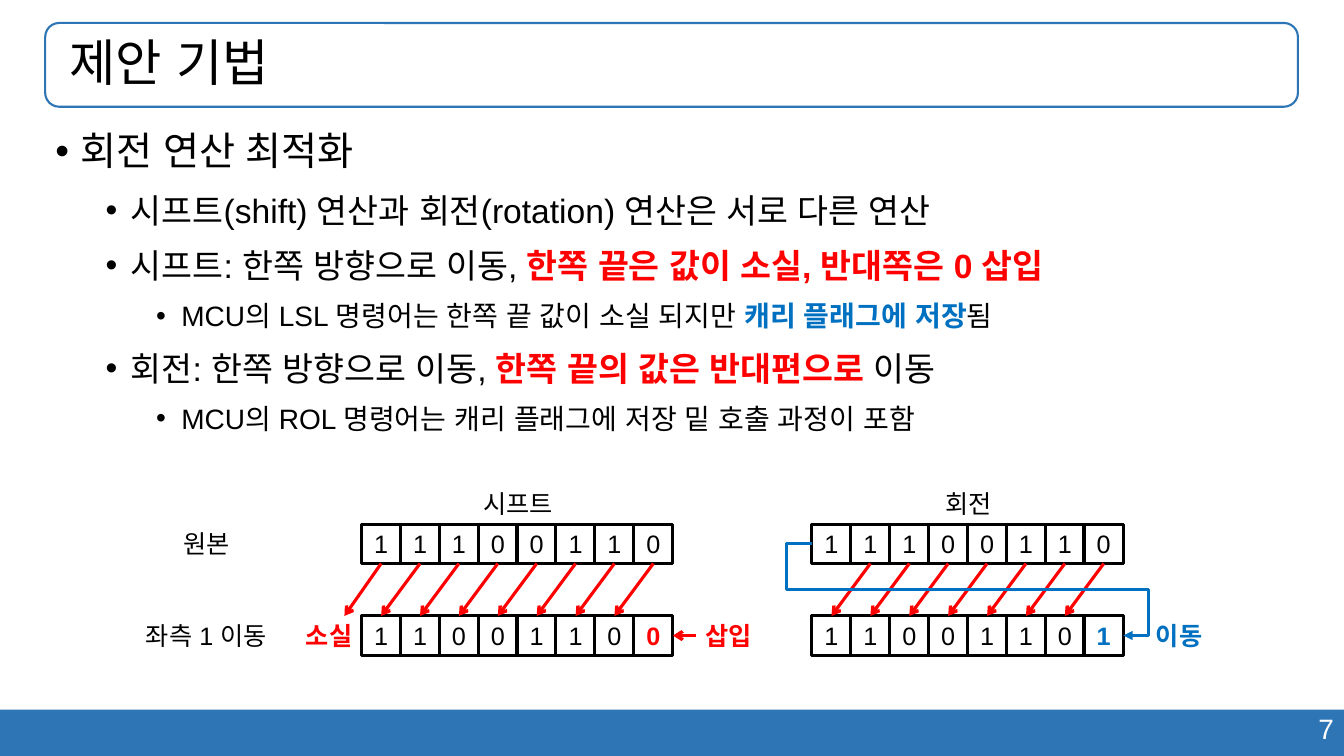
from lxml import etree
from pptx import Presentation
from pptx.dml.color import RGBColor
from pptx.enum.shapes import MSO_CONNECTOR, MSO_SHAPE
from pptx.enum.text import MSO_ANCHOR, MSO_AUTO_SIZE, PP_ALIGN
from pptx.oxml.ns import qn
from pptx.util import Cm, Pt

RECT, ROUND = MSO_SHAPE.RECTANGLE, MSO_SHAPE.ROUNDED_RECTANGLE
LINE, ELBOW = MSO_CONNECTOR.STRAIGHT, MSO_CONNECTOR.ELBOW
LEFT, MID, RIGHT = PP_ALIGN.LEFT, PP_ALIGN.CENTER, PP_ALIGN.RIGHT
TOP, CENTER = MSO_ANCHOR.TOP, MSO_ANCHOR.MIDDLE
FIXED = MSO_AUTO_SIZE.NONE

HUES = {"black": "000000", "white": "FFFFFF", "red": "FF0000",
        "blue": "0070C0", "bar": "2E75B6"}
FONT = "Arial"
SIDE, PITCH, DROP = 0.99, 0.98, 2.31
SIZES = [28, 24, 20]
SOURCE = "11100110"
POINTS = [
    (0, [("회전 연산 최적화", None)]),
    (1, [("시프트(shift) 연산과 회전(rotation) 연산은 서로 다른 연산", None)]),
    (1, [("시프트: 한쪽 방향으로 이동, ", None),
         ("한쪽 끝은 값이 소실, 반대쪽은 0 삽입", "red")]),
    (2, [("MCU의 LSL 명령어는 한쪽 끝 값이 소실 되지만 ", None),
         ("캐리 플래그에 저장", "blue"), ("됨", None)]),
    (1, [("회전: 한쪽 방향으로 이동, ", None),
         ("한쪽 끝의 값은 반대편으로", "red"), (" 이동", None)]),
    (2, [("MCU의 ROL 명령어는 캐리 플래그에 저장 밑 호출 과정이 포함", None)]),
]


def tint(hue):
    return RGBColor.from_string(HUES[hue])


def write(para, text, size=18, hue="black", bold=False, align=None):
    if align is not None:
        para.alignment = align
    run = para.add_run()
    run.text = text
    font = run.font
    font.name, font.size, font.bold = FONT, Pt(size), bold
    font.color.rgb = tint(hue)
    etree.SubElement(run._r.rPr, qn("a:ea")).set("typeface", FONT)


def place(item, box):
    item.left, item.top, item.width, item.height = (Cm(v) for v in box)


def block(slide, kind, box, fill=None, edge=None, width=2.25):
    shape = slide.shapes.add_shape(kind, *(Cm(v) for v in box))
    shape.shadow.inherit = False
    if fill:
        shape.fill.solid()
        shape.fill.fore_color.rgb = tint(fill)
    else:
        shape.fill.background()
    if edge:
        shape.line.color.rgb = tint(edge)
        shape.line.width = Pt(width)
    else:
        shape.line.fill.background()
    return shape


def label(slide, text, box, wrap=True, **style):
    frame = slide.shapes.add_textbox(*(Cm(v) for v in box)).text_frame
    frame.word_wrap = wrap
    write(frame.paragraphs[0], text, **style)


def arrow(slide, start, end, hue, kind=LINE, head="arrow"):
    link = slide.shapes.add_connector(kind, *(Cm(v) for v in start + end))
    link.line.color.rgb = tint(hue)
    link.line.width = Pt(2.25)
    tip = etree.SubElement(link.line._get_or_add_ln(), qn("a:tailEnd"))
    tip.set("type", head)
    etree.SubElement(link._element.spPr, qn("a:effectLst"))
    return link


def header(slide, box):
    block(slide, ROUND, box, edge="bar", width=1.5)
    title = slide.shapes.title
    place(title, box)
    frame = title.text_frame
    frame.auto_size, frame.vertical_anchor = FIXED, CENTER
    frame.margin_left = Cm(0.61)
    para = frame.paragraphs[0]
    para.line_spacing = 0.9
    write(para, "제안 기법", size=36, align=LEFT)


def body(slide, box):
    holder = slide.placeholders[1]
    place(holder, box)
    frame = holder.text_frame
    frame.auto_size, frame.vertical_anchor = FIXED, TOP
    for i, (level, parts) in enumerate(POINTS):
        para = frame.add_paragraph() if i else frame.paragraphs[0]
        para.level = level
        para.line_spacing = 1.2 if level else 0.9
        para.space_before = Pt(5 if i else 0)
        props = para._p.get_or_add_pPr()
        props.set("marL", str(Cm(0.635 + 1.27 * level)))
        props.set("indent", str(-Cm(0.635)))
        etree.SubElement(props, qn("a:buFont")).set("typeface", FONT)
        etree.SubElement(props, qn("a:buChar")).set("char", "•")
        for text, hue in parts:
            write(para, text, size=SIZES[level], hue=hue or "black",
                  bold=bool(hue), align=LEFT)


def row(slide, bits, left, top, last="black"):
    cells = []
    for i, bit in enumerate(bits):
        cell = block(slide, RECT, (left + i * PITCH, top, SIDE, SIDE),
                     fill="white", edge="black")
        frame = cell.text_frame
        frame.vertical_anchor = CENTER
        hue = last if i == len(bits) - 1 else "black"
        write(frame.paragraphs[0], bit, hue=hue, bold=hue != "black", align=MID)
        cells.append(cell)
    return cells


def panel(slide, name, bits, hue, left, top):
    label(slide, name, (left + 1.2, top - 1.02, 5.49, 1.02), align=MID)
    upper = row(slide, SOURCE, left, top)
    lower = row(slide, bits, left, top + DROP, last=hue)
    for old, new in zip(upper[1:], lower):
        link = arrow(slide, (left, top), (left, top + DROP), "red")
        link.begin_connect(old, 2)
        link.end_connect(new, 0)
    return upper, lower


def shift(slide, left, top):
    upper, lower = panel(slide, "시프트", SOURCE[1:] + "0", "red", left, top)
    lost = arrow(slide, (left, top), (left - 0.43, top + DROP), "red")
    lost.begin_connect(upper[0], 2)
    end, base = left + 7 * PITCH + SIDE, top + DROP
    entry = arrow(slide, (end + 0.57, base + SIDE / 2),
                  (end, base + SIDE / 2), "red")
    entry.end_connect(lower[-1], 3)
    for text, x in (("소실", left - 1.65), ("삽입", end + 0.57)):
        label(slide, text, (x, base - 0.02, 1.8, 1.02), wrap=False,
              hue="red", bold=True)


def rotate(slide, left, top):
    upper, lower = panel(slide, "회전", SOURCE[1:] + SOURCE[0], "blue",
                         left, top)
    end, base = left + 7 * PITCH + SIDE, top + DROP
    loop = arrow(slide, (left, top + SIDE / 2), (end, base + SIDE / 2),
                 "blue", kind=ELBOW, head="triangle")
    loop.begin_connect(upper[0], 1)
    loop.end_connect(lower[-1], 3)
    shape = loop._element.spPr.find(qn("a:prstGeom"))
    shape.set("prst", "bentConnector5")
    guides = shape.find(qn("a:avLst"))
    for i, value in enumerate((-8100, 50000, 108100), 1):
        guide = etree.SubElement(guides, qn("a:gd"))
        guide.set("name", f"adj{i}")
        guide.set("fmla", f"val {value}")
    label(slide, "이동", (end + 0.57, base - 0.02, 1.8, 1.02), wrap=False,
          hue="blue", bold=True)


def footer(slide, box):
    left, top, width, height = box
    block(slide, RECT, box, fill="bar")
    label(slide, "7", (left + width - 9.9, top - 0.08, 9.9, 1.12),
          size=20, hue="white", align=RIGHT)


def main():
    deck = Presentation()
    deck.slide_width, deck.slide_height = Cm(33.87), Cm(19.05)
    slide = deck.slides.add_slide(deck.slide_layouts[1])
    footer(slide, (0, 17.88, 33.87, 1.17))
    header(slide, (1.14, 0.58, 31.57, 2.11))
    body(slide, (1.14, 3.2, 31.57, 14.05))
    for i, text in enumerate(("원본", "좌측 1 이동")):
        label(slide, text, (3.23, 13.2 + i * DROP, 3.94, 1.02), align=MID)
    shift(slide, 9.11, 13.21)
    rotate(slide, 20.46, 13.21)
    deck.save("out.pptx")


if __name__ == "__main__":
    main()
